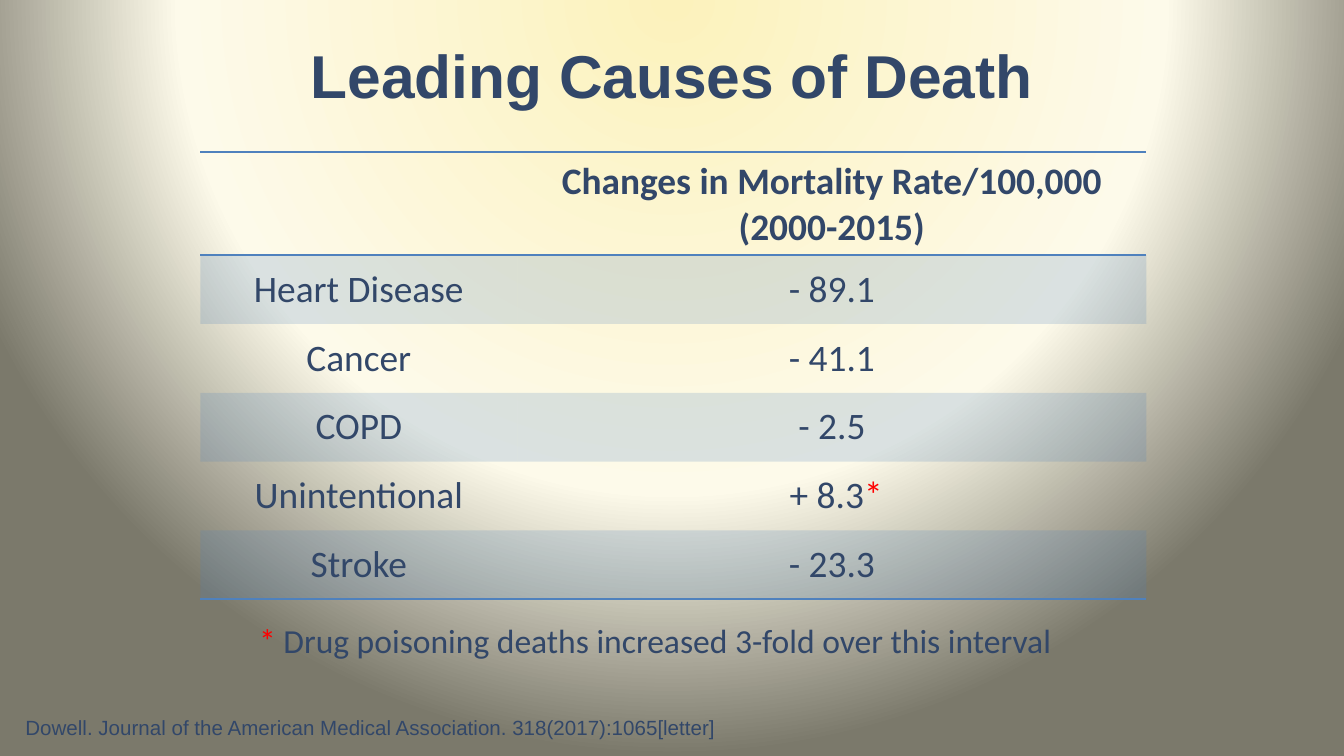
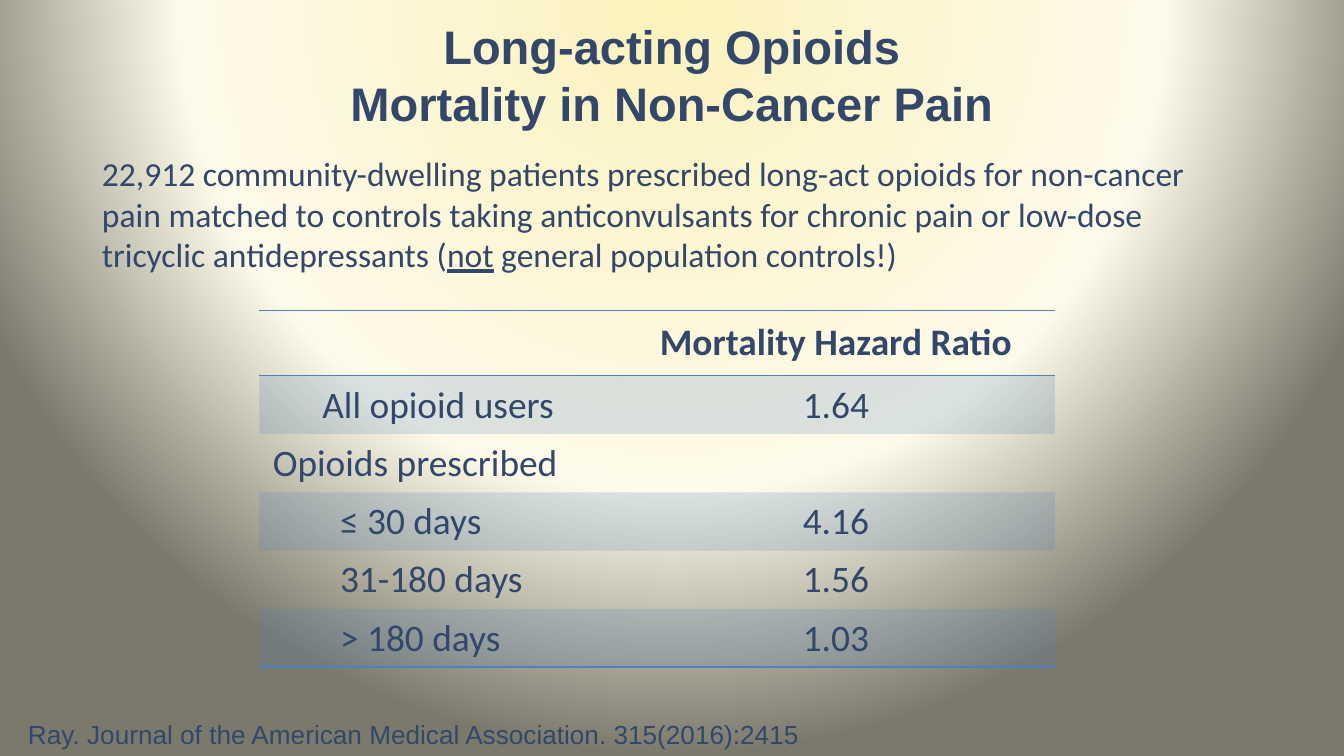
"""Build two slides on mortality, each with a banded table."""
from pptx import Presentation
from pptx.dml.color import RGBColor
from pptx.enum.text import MSO_ANCHOR, PP_ALIGN
from pptx.oxml import parse_xml
from pptx.oxml.ns import nsdecls
from pptx.util import Inches, Pt

NAVY = RGBColor(0x32, 0x47, 0x69)
BLUE = RGBColor(0x4F, 0x81, 0xBD)
RED = RGBColor(0xFF, 0x00, 0x00)
CREAM = RGBColor(0xFC, 0xF2, 0xBC)
PALE = RGBColor(0xFD, 0xFA, 0xEA)
OLIVE = RGBColor(0x7B, 0x79, 0x6B)
GLOW = ((0, CREAM), (64, PALE), (98, OLIVE))
LEFT, CENTER = PP_ALIGN.LEFT, PP_ALIGN.CENTER
TOP, MIDDLE = MSO_ANCHOR.TOP, MSO_ANCHOR.MIDDLE
HEAD, BODY = "Arial", "Calibri"
PLAIN = "{2D5ABB26-0587-4C30-8999-92F81FD0307C}"
NS = nsdecls("a")


class Deck:
    """Holds the style and the current slide; lengths are percent of the slide."""

    def __init__(self):
        self.prs = Presentation()
        self.prs.slide_width, self.prs.slide_height = Inches(10), Inches(5.625)
        self.slide = None
        self.glow()

    def glow(self):
        master = self.prs.slide_master
        master.background.fill.solid()
        back = master.element.xpath(".//p:bgPr")[0]
        stops = "".join(
            f'<a:gs pos="{pos * 1000}"><a:srgbClr val="{color}"/></a:gs>'
            for pos, color in GLOW)
        back.replace(back[0], parse_xml(
            f'<a:gradFill {NS} rotWithShape="1"><a:gsLst>{stops}</a:gsLst>'
            '<a:path path="circle"><a:fillToRect l="50000" t="-80000" '
            'r="50000" b="180000"/></a:path></a:gradFill>'))

    def start(self):
        self.slide = self.prs.slides.add_slide(self.prs.slide_layouts[6])

    def wide(self, share):
        return int(self.prs.slide_width * share / 100)

    def high(self, share):
        return int(self.prs.slide_height * share / 100)

    def style(self, frame, parts, size, face=BODY, bold=False, align=LEFT):
        par = frame.paragraphs[0]
        par.text = parts[0]
        for part in parts[1:]:
            par.add_run().text = part
        par.alignment = align
        for run in par.runs:
            font = run.font
            font.name, font.size, font.bold = face, Pt(size), bold
            font.color.rgb = NAVY
        return par

    def text(self, box, parts, size, anchor=TOP, **looks):
        x, y, w, h = box
        shape = self.slide.shapes.add_textbox(
            self.wide(x), self.high(y), self.wide(w), self.high(h))
        frame = shape.text_frame
        frame.word_wrap = True
        frame.vertical_anchor = anchor
        return self.style(frame, parts, size, **looks)

    def title(self, words, size):
        self.text((5, 4.1, 90, 11.4), [words], size, MIDDLE,
                  face=HEAD, bold=True, align=CENTER)

    def source(self, box, words, size):
        self.text(box, [words], size, face=HEAD)

    def rule(self, cell, side):
        cell._tc.get_or_add_tcPr().insert(0, parse_xml(
            f'<a:ln{side} {NS} w="12700"><a:solidFill><a:srgbClr val="{BLUE}"/>'
            f'</a:solidFill></a:ln{side}>'))

    def shade(self, cell, band):
        if not band:
            cell.fill.background()
            return
        cell.fill.solid()
        cell.fill.fore_color.rgb = BLUE
        tint = cell._tc.tcPr.xpath(".//a:srgbClr")[0]
        tint.append(parse_xml(f'<a:alpha {NS} val="20000"/>'))

    def table(self, spot, cols, first, rest, rows, flush=(), nested=()):
        x, y = spot
        last = len(rows) - 1
        table = self.slide.shapes.add_table(
            len(rows), len(cols), self.wide(x), self.high(y),
            self.wide(sum(cols)), self.high(first + rest * last)).table
        table._tbl.tblPr.xpath("a:tableStyleId")[0].text = PLAIN
        for col, width in zip(table.columns, cols):
            col.width = self.wide(width)
        for i, row in enumerate(rows):
            table.rows[i].height = self.high(rest if i else first)
            for j, parts in enumerate(row):
                cell = table.cell(i, j)
                cell.vertical_anchor = MIDDLE
                self.shade(cell, i % 2)
                if i in (0, last):
                    self.rule(cell, "B")
                if i == 0:
                    self.rule(cell, "T")
                if not parts:
                    continue
                side = LEFT if j == 0 and i in (*flush, *nested) else CENTER
                par = self.style(cell.text_frame, parts, 20,
                                 bold=i == 0, align=side)
                if j == 0 and i in nested:
                    par.level = 1
                    par._p.get_or_add_pPr().set("marL", str(Inches(0.5)))
        return table


def causes(deck):
    """Draw the table of leading causes of death."""
    deck.start()
    deck.title("Leading Causes of Death", 32.4)
    deck.source((0.9, 93.7, 56.6, 10.1),
                "Dowell. Journal of the American Medical Association. "
                "318(2017):1065[letter]", 11)
    table = deck.table((14.9, 20.1), (23.6, 46.8), 13.33, 9.11, [
        ([], ["Changes in Mortality Rate/100,000 (2000-2015)"]),
        (["Heart Disease"], ["- 89.1"]),
        (["Cancer"], ["- 41.1"]),
        (["COPD"], ["- 2.5"]),
        (["Unintentional"], [" + 8.3", "*"]),
        (["Stroke"], ["- 23.3"]),
    ])
    star = table.cell(4, 1).text_frame.paragraphs[0].runs[1]
    note = deck.text((18.3, 81.1, 67, 7.1), [
        "*", " Drug poisoning deaths increased 3-fold over this interval"], 18)
    for run in (star, note.runs[0]):
        run.font.color.rgb = RED


def opioids(deck):
    """Draw the table of hazard ratios for opioid users."""
    deck.start()
    deck.title("Long-acting Opioids\vMortality in Non-Cancer Pain", 25.2)
    deck.source((1.1, 94.2, 60.8, 7.3),
                "Ray. Journal of the American Medical Association. "
                "315(2016):2415", 14)
    study = deck.text((6.6, 19.4, 85.2, 18), [
        "22,912 community-dwelling patients prescribed long-act opioids for "
        "non-cancer pain matched to controls taking anticonvulsants for "
        "chronic pain or low-dose tricyclic antidepressants (",
        "not", " general population controls!)"], 18)
    study.runs[1].font.underline = True
    deck.table((19.3, 41.1), (26.6, 32.6), 8.6, 7.71, [
        ([], ["Mortality Hazard Ratio"]),
        (["All opioid users"], ["1.64"]),
        (["Opioids prescribed"], []),
        (["≤ 30 days"], ["4.16"]),
        (["31-180 days"], ["1.56"]),
        (["> 180 days"], ["1.03"]),
    ], flush=(2,), nested=(3, 4, 5))


def main():
    """Build and save both slides."""
    deck = Deck()
    causes(deck)
    opioids(deck)
    deck.prs.save("out.pptx")


if __name__ == "__main__":
    main()
